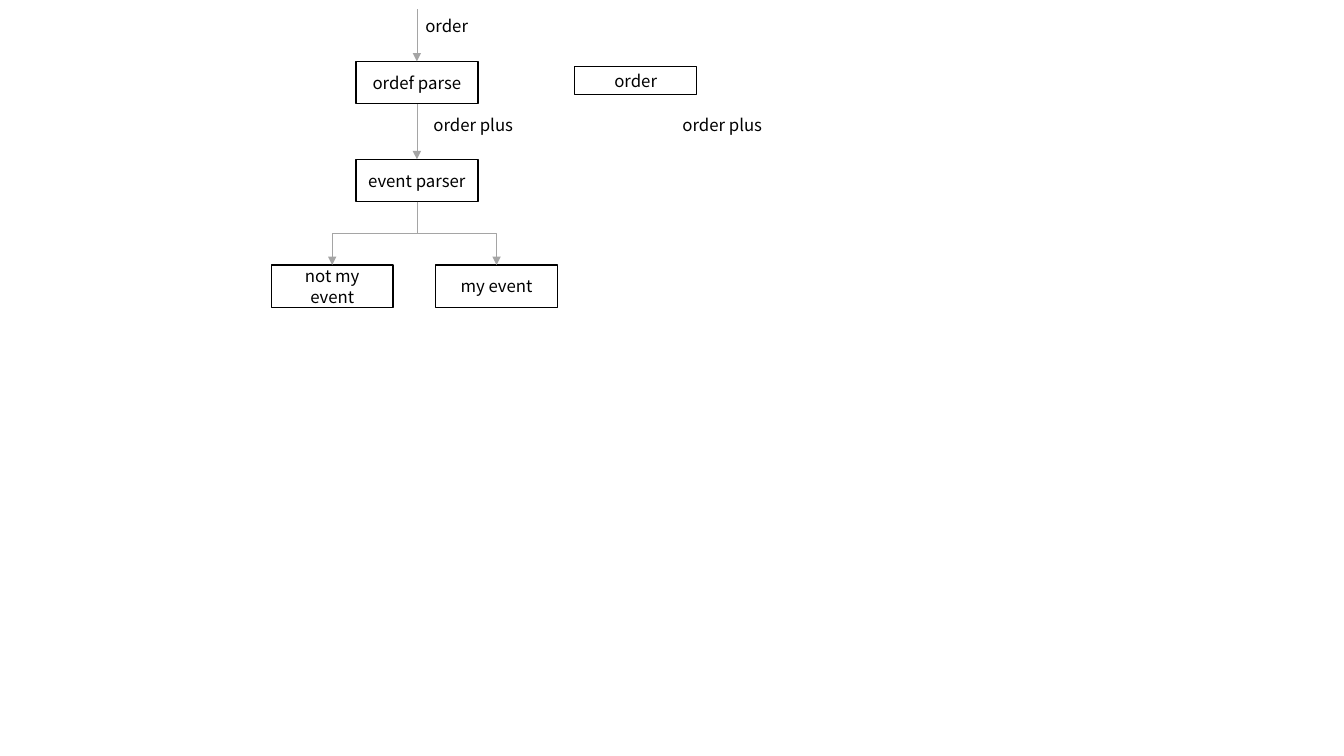
from pptx import Presentation
from pptx.dml.color import RGBColor
from pptx.enum.shapes import MSO_CONNECTOR, MSO_SHAPE
from pptx.enum.text import MSO_ANCHOR, MSO_AUTO_SIZE, PP_ALIGN
from pptx.oxml.ns import qn
from pptx.util import Inches, Pt
from lxml import etree

RECT = MSO_SHAPE.RECTANGLE
STRAIGHT, ELBOW = MSO_CONNECTOR.STRAIGHT, MSO_CONNECTOR.ELBOW
CENTER, LEFT = PP_ALIGN.CENTER, PP_ALIGN.LEFT
MIDDLE, TOP_ANCHOR = MSO_ANCHOR.MIDDLE, MSO_ANCHOR.TOP
GROW = MSO_AUTO_SIZE.SHAPE_TO_FIT_TEXT
TOP, BOTTOM = 0, 2  # connection sites of a rectangle
COLS, ROWS = 133.3, 75
BOX_W, BOX_H, LABEL_H = 12.1, 4.2, 3


def color(hex_string):
    return RGBColor.from_string(hex_string)


class FlowChart:
    font = {"name": "Noto Sans CJK SC", "size": Pt(12)}
    ink, paper, arrow_ink = "000000", "FFFFFF", "A5A5A5"

    def __init__(self, prs):
        self.s = prs.slides.add_slide(prs.slide_layouts[6])
        self.col = prs.slide_width / COLS
        self.row = prs.slide_height / ROWS

    def area(self, x, y, w, h):
        """Turn columns and rows into slide lengths."""
        return [round(n * unit) for n, unit in
                zip((x, y, w, h), (self.col, self.row) * 2)]

    def put_text(self, sp, text, align, frame):
        tf = sp.text_frame
        for name, value in frame.items():
            setattr(tf, name, value)
        p = tf.paragraphs[0]
        p.alignment = align
        r = p.add_run()
        r.text = text
        for name, value in self.font.items():
            setattr(r.font, name, value)
        r.font.color.rgb = color(self.ink)

    def box(self, text, x, y, h=BOX_H):
        sp = self.s.shapes.add_shape(RECT, *self.area(x, y, BOX_W, h))
        sp.shadow.inherit = False
        sp.fill.solid()
        sp.fill.fore_color.rgb = color(self.paper)
        sp.line.color.rgb = color(self.ink)
        sp.line.width = Pt(1)
        self.put_text(sp, text, CENTER,
                      {"word_wrap": True, "vertical_anchor": MIDDLE})
        return sp

    def label(self, text, x, y, w):
        sp = self.s.shapes.add_textbox(*self.area(x, y, w, LABEL_H))
        self.put_text(sp, text, LEFT,
                      {"word_wrap": True, "vertical_anchor": TOP_ANCHOR,
                       "auto_size": GROW})

    def connector(self, kind, x1, y1, x2, y2):
        sp = self.s.shapes.add_connector(kind, x1, y1, x2, y2)
        sp.line.color.rgb = color(self.arrow_ink)
        sp.line.width = Pt(0.5)
        props = sp.element.spPr
        etree.SubElement(props.find(qn("a:ln")), qn("a:tailEnd"),
                         type="triangle")
        etree.SubElement(props, qn("a:effectLst"))
        return sp

    def entry(self, target, y):
        """Draw the arrow that enters the chart from row y."""
        x = target.left + target.width // 2
        sp = self.connector(STRAIGHT, x, round(y * self.row), x, target.top)
        sp.end_connect(target, TOP)

    def arrow(self, source, target, kind=STRAIGHT):
        x1 = source.left + source.width // 2
        y1 = source.top + source.height
        x2, y2 = target.left + target.width // 2, target.top
        sp = self.connector(kind, x1, y1, x2, y2)
        sp.begin_connect(source, BOTTOM)
        sp.end_connect(target, TOP)
        if kind == ELBOW:
            self.turn(sp, x1, y1, x2, y2)

    def turn(self, sp, x1, y1, x2, y2):
        """Rotate an elbow so that it leaves and arrives vertically."""
        w, h = y2 - y1, abs(x2 - x1)
        place = {"left": (x1 + x2 - w) // 2, "top": (y1 + y2 - h) // 2,
                 "width": w, "height": h}
        for name, value in place.items():
            setattr(sp, name, value)
        xfrm = sp.element.spPr.find(qn("a:xfrm"))
        rightward = x2 > x1
        xfrm.set("rot", str((270 if rightward else 90) * 60000))
        xfrm.set("flipH", str(int(rightward)))


def main():
    prs = Presentation()
    prs.slide_width, prs.slide_height = Inches(13.33), Inches(7.5)
    chart = FlowChart(prs)

    order_parser = chart.box("ordef parse", 35.3, 6.1)
    event_parser = chart.box("event parser", 35.3, 15.8)
    not_my_event = chart.box("not my event", 26.9, 26.3)
    my_event = chart.box("my event", 43.2, 26.3)
    chart.box("order", 57, 6.6, 2.8)

    chart.label("order", 41.2, 1.1, 8.1)
    for x in (42, 66.7):
        chart.label("order plus", x, 10.9, 10.2)

    chart.entry(order_parser, 0.9)
    chart.arrow(order_parser, event_parser)
    for event in (not_my_event, my_event):
        chart.arrow(event_parser, event, ELBOW)

    prs.save("out.pptx")


if __name__ == "__main__":
    main()
